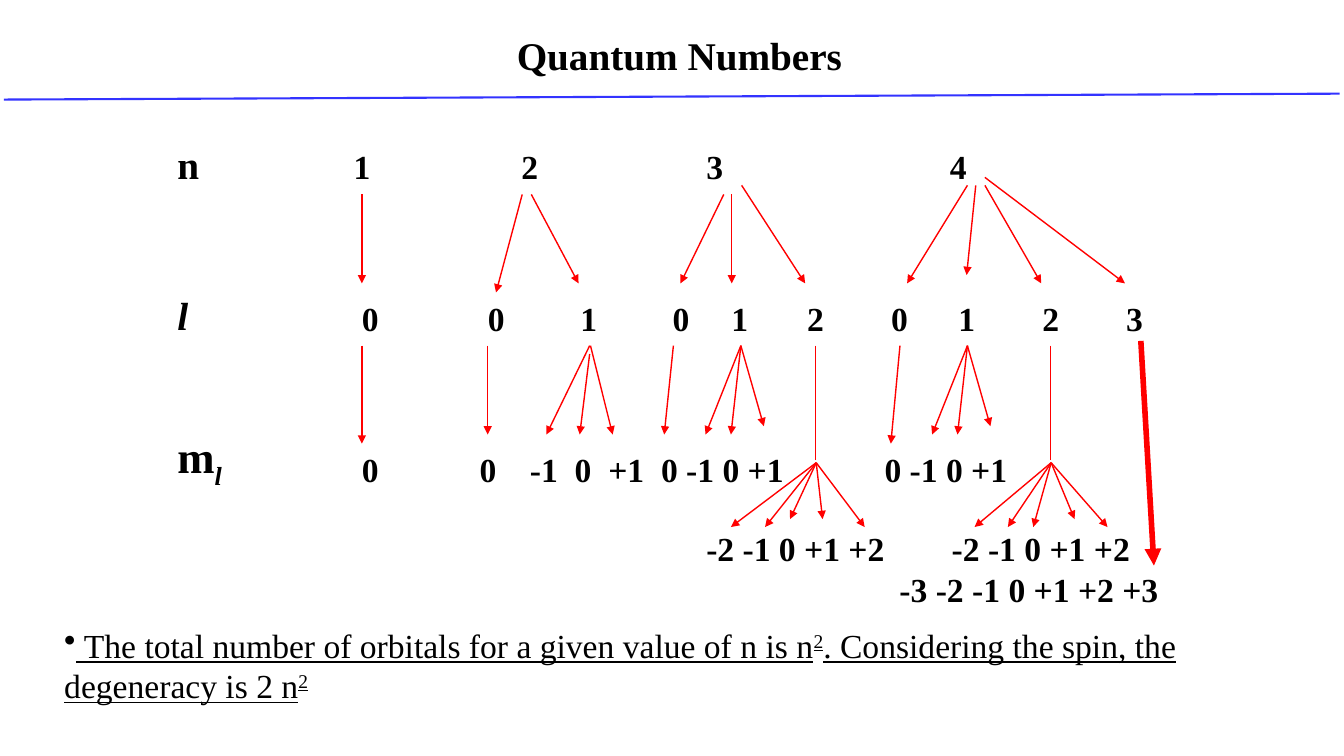
from lxml.etree import SubElement
from pptx import Presentation
from pptx.dml.color import RGBColor
from pptx.enum.shapes import MSO_CONNECTOR as Connector
from pptx.enum.text import MSO_ANCHOR as Anchor, MSO_AUTO_SIZE as AutoSize, PP_ALIGN as Align
from pptx.oxml.ns import qn
from pptx.util import Cm, Pt

BLACK = RGBColor(0x00, 0x00, 0x00)
RED = RGBColor(0xFF, 0x00, 0x00)
BLUE = RGBColor(0x33, 0x33, 0xFF)
FONT = "Times New Roman"
COLUMN = Pt(6)  # width of one column unit in the number rows
ROWS_LEFT, ROWS_WIDTH = 8.66, 21

# Each number line holds (column, text) cells.
N_LINE = [(0, "1"), (20, "2"), (42, "3"), (71, "4")]
L_LINE = [(1, "0"), (16, "0"), (27, "1"), (38, "0"), (45, "1"), (54, "2"),
          (64, "0"), (72, "1"), (82, "2"), (92, "3")]
M_LINES = [
    [(1, "0"), (15, "0"), (21, "-1"), (26.33, "0"), (30.33, "+1"),
     (36.61, "0 -1 0 +1"), (63.22, "0 -1 0 +1")],
    [(42, "-2 -1 0 +1 +2"), (71.22, "-2 -1 0 +1 +2")],
    [(65, "-3 -2 -1 0 +1 +2 +3")],
]

# Arrows from n to l and single arrows from l to m: start x, y, end x, y in cm.
SINGLE_ARROWS = [
    (9.12, 4.9, 9.12, 7.14),
    (13.16, 4.9, 12.5, 7.37), (13.39, 4.9, 14.58, 7.14),
    (18.24, 4.9, 17.15, 7.14), (18.44, 4.9, 18.44, 7.14), (18.69, 4.67, 20.29, 7.14),
    (24.38, 4.67, 22.86, 7.14), (24.59, 4.67, 24.36, 6.93),
    (24.82, 4.67, 26.24, 7.14), (24.82, 4.47, 28.35, 7.14),
    (9.12, 8.71, 9.12, 11.18), (12.29, 8.71, 12.29, 10.95),
    (16.97, 8.71, 16.74, 10.95), (22.68, 8.71, 22.45, 11.18),
    (14.86, 8.71, 13.77, 10.95), (14.86, 8.92, 14.61, 10.95), (14.88, 8.71, 15.44, 10.95),
]
P_STARTS = [18.67, 24.38]
P_SPREAD = [(-0.89, 10.95), (-0.25, 10.95), (0.58, 10.74)]
D_FANS = [
    (20.57, [(18.42, 13.28), (19.28, 13.28), (19.91, 13.08), (20.73, 13.08), (21.79, 13.28)]),
    (26.49, [(24.56, 13.28), (25.4, 13.28), (26.04, 13.28), (27.08, 13.08), (27.91, 13.28)]),
]


def add_span(para, text, size=24, bold=True, italic=False, underline=False, baseline=0):
    span = para.add_run()
    span.text = text
    font = span.font
    font.name, font.size, font.bold = FONT, Pt(size), bold
    font.color.rgb = BLACK
    if italic:
        font.italic = True
    if underline:
        font.underline = True
    if baseline:
        span._r.get_or_add_rPr().set("baseline", str(baseline * 1000))


def add_box(page, left, top, width, height, wrap=True):
    box = page.shapes.add_textbox(Cm(left), Cm(top), Cm(width), Cm(height))
    box.text_frame.word_wrap = wrap
    return box.text_frame


def add_label(page, top, width, height, text, size=28, italic=False):
    para = add_box(page, 4.22, top, width, height, wrap=False).paragraphs[0]
    add_span(para, text, size, italic=italic)
    return para


def add_number_line(para, cells):
    """Place each cell at its column with a tab stop."""
    stops = SubElement(para._p.get_or_add_pPr(), qn("a:tabLst"))
    for column, text in cells:
        if column:
            SubElement(stops, qn("a:tab"), pos=str(int(column * COLUMN)), algn="l")
            text = "\t" + text
        add_span(para, text)


def add_line(page, x1, y1, x2, y2, color=RED, width=1, arrow=True):
    line = page.shapes.add_connector(Connector.STRAIGHT, Cm(x1), Cm(y1), Cm(x2), Cm(y2))
    line.line.color.rgb = color
    line.line.width = Pt(width)
    if arrow:
        SubElement(line.line._get_or_add_ln(), qn("a:tailEnd"), type="triangle")
    SubElement(line._element.spPr, qn("a:effectLst"))


def add_fan(page, x, y, ends):
    for end_x, end_y in ends:
        add_line(page, x, y, end_x, end_y)


def add_title(page, text):
    title = page.shapes.title
    title.left, title.top, title.width, title.height = Cm(11.33), Cm(0.66), Cm(11.58), Cm(1.42)
    frame = title.text_frame
    frame.auto_size = AutoSize.NONE
    frame.vertical_anchor = Anchor.TOP
    para = frame.paragraphs[0]
    para.alignment = Align.CENTER
    add_span(para, text, 28)


def add_conclusion(page):
    para = add_box(page, 1.37, 15.62, 32.28, 2.31).paragraphs[0]
    SubElement(para._p.get_or_add_pPr(), qn("a:buChar"), char="•")
    for text, baseline in [
        (" The total number of orbitals for a given value of n is n", 0), ("2", 30),
        (". Considering the spin, the degeneracy is 2 n", 0), ("2", 30),
    ]:
        add_span(para, text, bold=False, underline=True, baseline=baseline)


def main():
    deck = Presentation()
    deck.slide_width, deck.slide_height = Cm(33.87), Cm(19.05)
    page = deck.slides.add_slide(deck.slide_layouts.get_by_name("Title Only"))

    add_title(page, "Quantum Numbers")
    add_line(page, 0.1, 2.51, 33.76, 2.36, BLUE, 1.5, arrow=False)

    add_label(page, 3.4, 1.07, 1.45, "n")
    add_label(page, 7.21, 0.79, 1.45, "l", italic=True)
    m_label = add_label(page, 10.69, 1.68, 1.63, "m", 32)
    add_span(m_label, "l", 32, italic=True, baseline=-25)

    for top, height, cells in [(3.56, 1.27, N_LINE), (7.37, 1.27, L_LINE)]:
        add_number_line(add_box(page, ROWS_LEFT, top, ROWS_WIDTH, height).paragraphs[0], cells)
    m_frame = add_box(page, ROWS_LEFT, 11.18, ROWS_WIDTH, 4.34)
    first, second, third = m_frame.paragraphs[0], m_frame.add_paragraph(), m_frame.add_paragraph()
    for para, cells in zip((first, second, third), M_LINES):
        add_number_line(para, cells)
    second.space_before = Pt(28)

    for arrow in SINGLE_ARROWS:
        add_line(page, *arrow)
    for x in P_STARTS:
        add_fan(page, x, 8.71, [(x + shift, y) for shift, y in P_SPREAD])
    for x, ends in D_FANS:
        add_line(page, x - 0.02, 8.71, x - 0.02, 11.58, arrow=False)
        add_fan(page, x, 11.66, ends)
    add_line(page, 28.75, 8.59, 29.08, 14.25, width=4)

    add_conclusion(page)
    deck.save("out.pptx")


if __name__ == "__main__":
    main()
